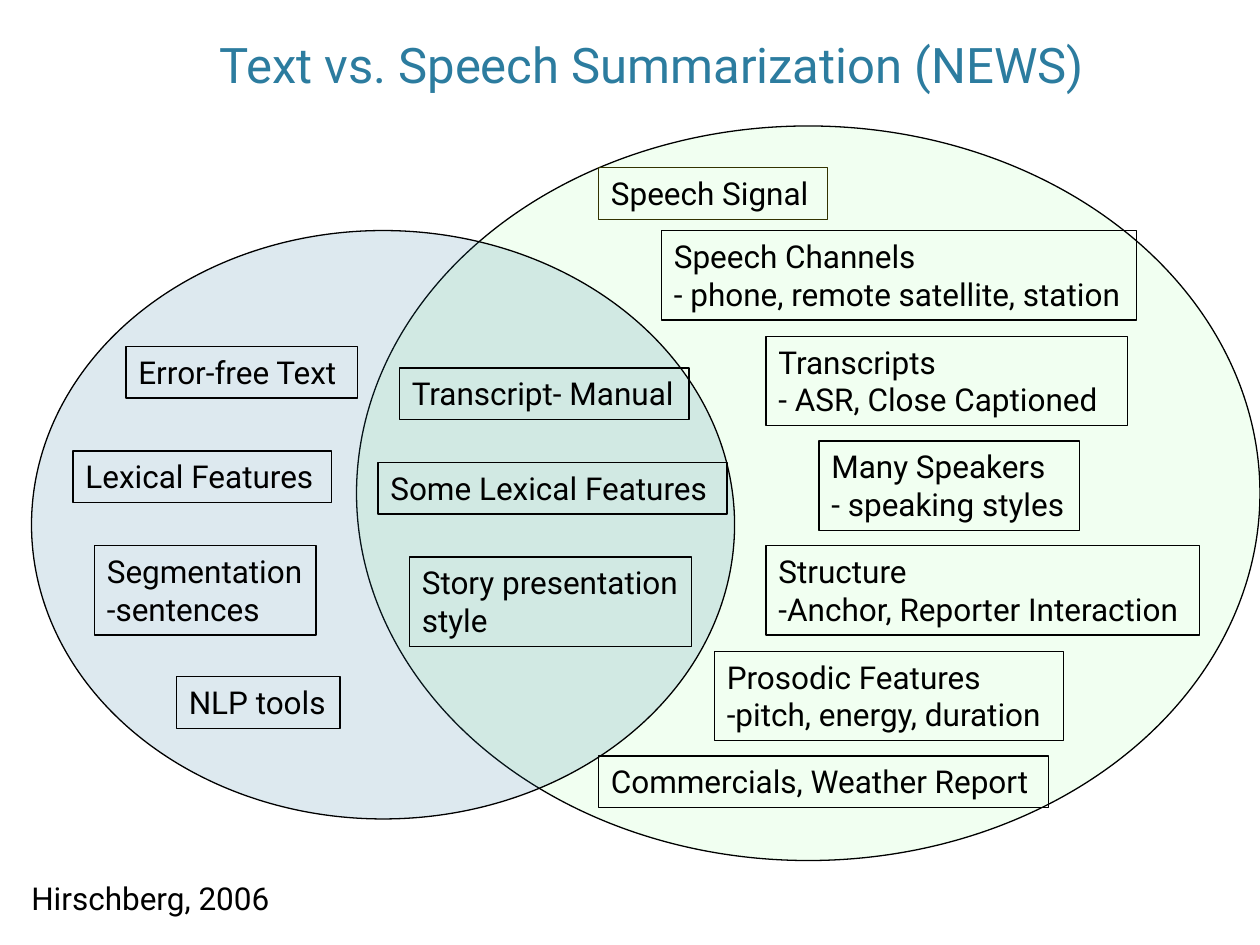
"""Build a Venn diagram slide comparing text and speech summarization."""
from lxml import etree
from pptx import Presentation
from pptx.dml.color import RGBColor
from pptx.enum.shapes import MSO_SHAPE
from pptx.enum.text import MSO_ANCHOR, PP_ALIGN
from pptx.oxml.ns import qn
from pptx.util import Inches, Pt

OVAL, RECTANGLE = MSO_SHAPE.OVAL, MSO_SHAPE.RECTANGLE
TOP, BOTTOM = MSO_ANCHOR.TOP, MSO_ANCHOR.BOTTOM
LEFT, CENTER = PP_ALIGN.LEFT, PP_ALIGN.CENTER
BLACK, BLUE, GREEN, OLIVE = "000000", "2C7C9F", "CCFFCC", "333300"


def color(value):
    return RGBColor.from_string(value)


def write(shape, lines, size=18, ink=BLACK, align=LEFT, anchor=TOP):
    frame = shape.text_frame
    frame.word_wrap = True
    frame.vertical_anchor = anchor
    frame.text = "\n".join(lines)
    for para in frame.paragraphs:
        para.alignment = align
        para.font.name = "Roboto"
        para.font.size = Pt(size)
        para.font.color.rgb = color(ink)


deck = Presentation()
deck.slide_width, deck.slide_height = Inches(10), Inches(7.5)
page = deck.slides.add_slide(deck.slide_layouts[6])

ovals = [
    (2.83, 1, 7.17, 5.83, GREEN, 26),
    (0.25, 1.83, 5.58, 4.67, BLUE, 16),
]
for left, top, width, height, fill, opacity in ovals:
    oval = page.shapes.add_shape(
        OVAL, Inches(left), Inches(top), Inches(width), Inches(height))
    oval.shadow.inherit = False
    oval.fill.solid()
    oval.fill.fore_color.rgb = color(fill)
    fill_color = oval.fill._xPr.find(qn("a:solidFill"))[0]
    etree.SubElement(fill_color, qn("a:alpha"), val=str(opacity * 1000))
    oval.line.color.rgb = color(BLACK)
    oval.line.width = Pt(0.75)

title = page.shapes.add_textbox(Inches(0.67), Inches(0.04), Inches(9), Inches(0.75))
write(title, ["Text vs. Speech Summarization (NEWS)"], 28, BLUE, CENTER, BOTTOM)

features = [
    (4.75, 1.33, 1.82, ["Speech Signal"]),
    (5.25, 1.83, 3.77, ["Speech Channels", "- phone, remote satellite, station"]),
    (6.08, 2.67, 2.87, ["Transcripts", "- ASR, Close Captioned"]),
    (6.5, 3.5, 2.07, ["Many Speakers", "- speaking styles"]),
    (6.08, 4.33, 3.44, ["Structure", "-Anchor, Reporter Interaction"]),
    (5.67, 5.17, 2.77, ["Prosodic Features", "-pitch, energy, duration"]),
    (4.75, 6, 3.57, ["Commercials, Weather Report"]),
    (3.17, 2.92, 2.3, ["Transcript- Manual"]),
    (3, 3.67, 2.77, ["Some Lexical Features"]),
    (3.25, 4.42, 2.24, ["Story presentation", "style"]),
    (1, 2.75, 1.84, ["Error-free Text"]),
    (0.58, 3.58, 2.05, ["Lexical Features"]),
    (0.75, 4.33, 1.76, ["Segmentation", "-sentences"]),
    (1.4, 5.37, 1.3, ["NLP tools"]),
]
for left, top, width, lines in features:
    height = 0.11 + 0.3 * len(lines)
    box = page.shapes.add_shape(
        RECTANGLE, Inches(left), Inches(top), Inches(width), Inches(height))
    box.shadow.inherit = False
    box.fill.background()
    box.line.color.rgb = color(OLIVE if lines == ["Speech Signal"] else BLACK)
    box.line.width = Pt(0.75)
    write(box, lines)

source = page.shapes.add_textbox(Inches(0.15), Inches(6.93), Inches(2.29), Inches(0.4))
write(source, ["Hirschberg, 2006"])

deck.save("out.pptx")
